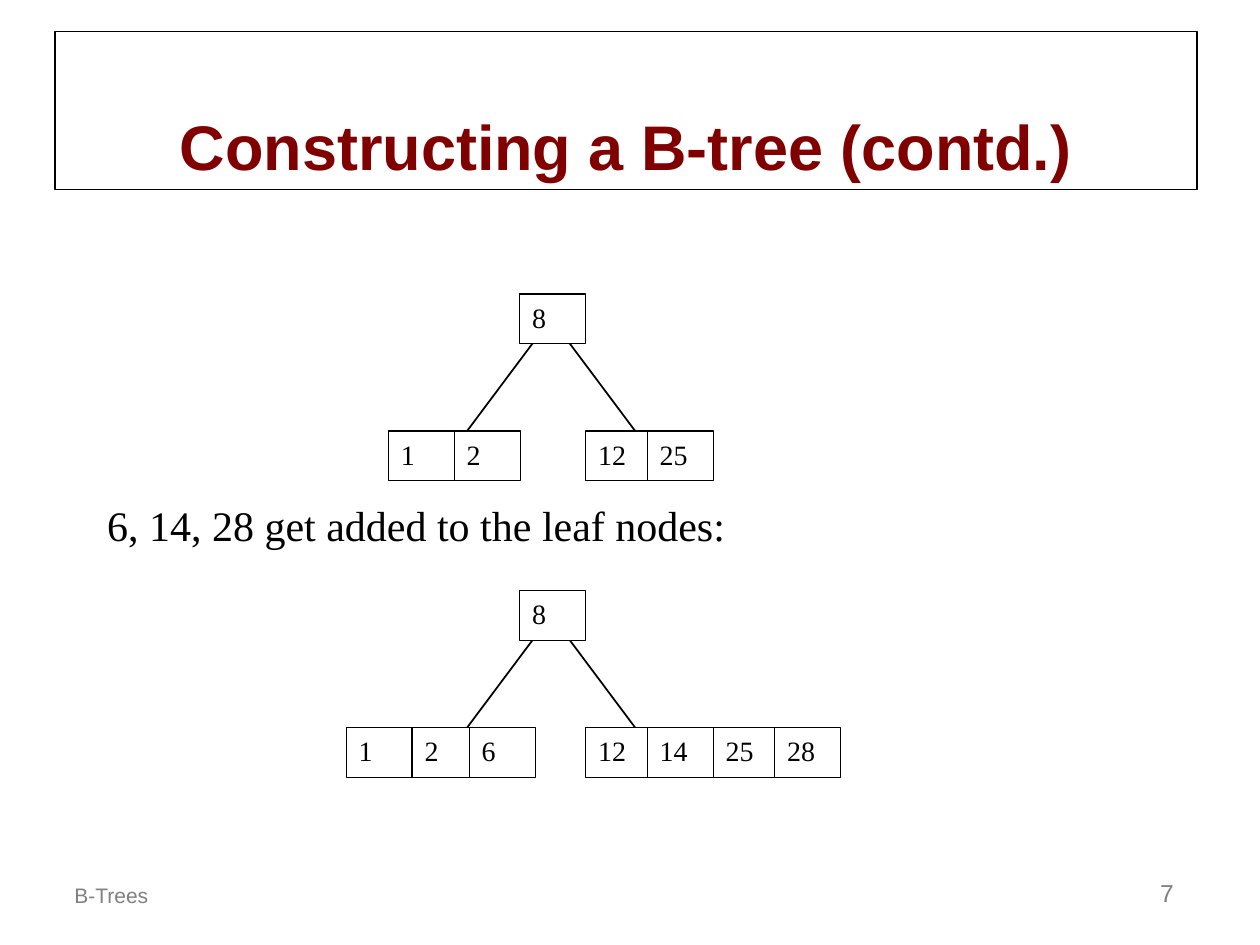
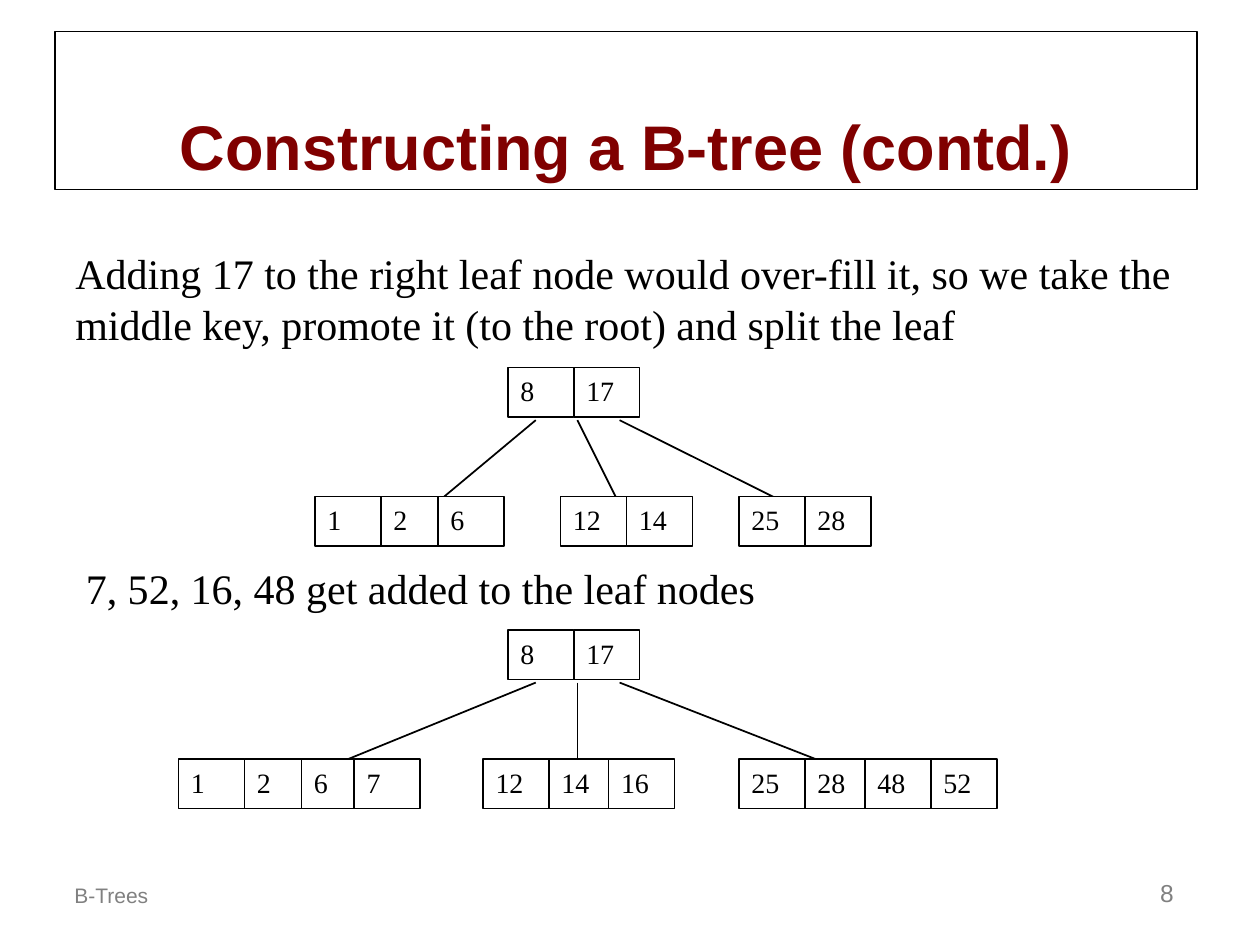
from lxml import etree
from pptx import Presentation
from pptx.dml.color import RGBColor
from pptx.enum.shapes import MSO_CONNECTOR, MSO_SHAPE
from pptx.enum.text import MSO_ANCHOR, MSO_AUTO_SIZE, PP_ALIGN
from pptx.oxml.ns import qn
from pptx.util import Cm, Pt

BLACK = RGBColor(0x00, 0x00, 0x00)
WHITE = RGBColor(0xFF, 0xFF, 0xFF)
MAROON = RGBColor(0x80, 0x00, 0x00)
GRAY = RGBColor(0x80, 0x80, 0x80)
SANS, SERIF = "Arial", "Times New Roman"
LEFT, CENTER, RIGHT = PP_ALIGN.LEFT, PP_ALIGN.CENTER, PP_ALIGN.RIGHT
TOP, BOTTOM = MSO_ANCHOR.TOP, MSO_ANCHOR.BOTTOM
GROW = MSO_AUTO_SIZE.SHAPE_TO_FIT_TEXT
RECT, STRAIGHT = MSO_SHAPE.RECTANGLE, MSO_CONNECTOR.STRAIGHT
CELL_W, CELL_H = 1.33, 1.0


def write(sp, text, *, size, font=SERIF, color=BLACK, bold=False, align=LEFT,
          anchor=TOP, before=0):
    """Put one formatted paragraph into a shape."""
    tf = sp.text_frame
    tf.word_wrap = True
    tf.vertical_anchor = anchor
    p = tf.paragraphs[0]
    p.alignment = align
    p.space_before = Pt(before)
    r = p.add_run()
    r.text = text
    r.font.name, r.font.size, r.font.bold = font, Pt(size), bold
    r.font.color.rgb = color


def add_text(s, x, y, w, h, text, **fmt):
    """Add a text box."""
    sp = s.shapes.add_textbox(Cm(x), Cm(y), Cm(w), Cm(h))
    write(sp, text, **fmt)
    return sp


def add_statement(s, x, y, w, h, text):
    """Add a sentence that explains the next tree."""
    sp = add_text(s, x, y, w, h, text, size=24, before=15)
    sp.text_frame.auto_size = GROW


def add_box(s, x, y, w, h, text, fill=None, **fmt):
    """Add an outlined rectangle with text."""
    sp = s.shapes.add_shape(RECT, Cm(x), Cm(y), Cm(w), Cm(h))
    sp.shadow.inherit = False
    if fill is None:
        sp.fill.background()
    else:
        sp.fill.solid()
        sp.fill.fore_color.rgb = fill
    sp.line.color.rgb = BLACK
    sp.line.width = Pt(0.75)
    write(sp, text, **fmt)


def add_edge(s, x1, y1, x2, y2):
    """Add a line from a root to a leaf."""
    line = s.shapes.add_connector(STRAIGHT, Cm(x1), Cm(y1), Cm(x2), Cm(y2))
    line.line.color.rgb = BLACK
    line.line.width = Pt(1)
    etree.SubElement(line._element.spPr, qn("a:effectLst"))


def add_node(s, x, y, keys, steps=()):
    """Add a row of key cells, spaced by steps or else by the cell width."""
    steps = steps or [CELL_W] * (len(keys) - 1)
    for key, step in zip(keys, [*steps, 0]):
        add_box(s, x, y, CELL_W, CELL_H, str(key), fill=WHITE, size=16)
        x += step


def add_tree(s, y, root, leaves, edges, start, leaf_drop):
    """Add a two-level tree whose root is at height y."""
    for x1, x2, drop in edges:
        add_edge(s, x1, y + start, x2, y + drop)
    add_node(s, root[0], y, *root[1:])
    for x, *node in leaves:
        add_node(s, x, y + leaf_drop, *node)


def add_slide(prs, number):
    """Add a blank slide with the title frame and the footer."""
    s = prs.slides.add_slide(prs.slide_layouts[6])
    add_text(s, 1.25, 17.15, 7.62, 1.27, "B-Trees", size=12, font=SANS,
             color=GRAY, anchor=BOTTOM, before=7.5)
    add_text(s, 18.63, 17.15, 5.28, 1.27, str(number), size=14, font=SANS,
             color=GRAY, align=RIGHT, anchor=BOTTOM, before=8.8)
    add_box(s, 1.11, 0.64, 23.02, 3.18, "Constructing a B-tree (contd.)",
            size=36, font=SANS, color=MAROON, bold=True, align=CENTER,
            anchor=BOTTOM)
    return s


def add_leaf_growth(prs):
    """Build the slide where three keys join the leaves."""
    s = add_slide(prs, 7)
    root = (10.48, [8])
    edges = [(11.0, 9.1, 3.18), (11.22, 13.12, 3.18)]
    add_tree(s, 5.93, root, [(7.83, [1, 2]), (11.81, [12, 25], [1.24])],
             edges, 0.64, 2.76)
    add_statement(s, 1.91, 9.95, 21.8, 1.28,
                  "6, 14, 28 get added to the leaf nodes:")
    leaves = [(6.98, [1, 2, 6], [1.33, 1.15]),
              (11.81, [12, 14, 25, 28], [1.24, 1.33, 1.24])]
    add_tree(s, 11.91, root, leaves, edges, 0.64, 2.76)


def add_leaf_split(prs):
    """Build the slide where the right leaf is split."""
    s = add_slide(prs, 8)
    root = (10.24, [8, 17])
    add_statement(s, 1.27, 4.87, 23.28, 2.29,
                  "Adding 17 to the right leaf node would over-fill it, so we "
                  "take the middle key, promote it (to the root) and split "
                  "the leaf")
    leaves = [(6.35, [1, 2, 6], [1.33, 1.15]), (11.3, [12, 14]),
              (14.9, [25, 28])]
    edges = [(10.8, 8.26, 3.18), (11.64, 12.7, 3.18), (12.49, 16.3, 2.96)]
    add_tree(s, 7.41, root, leaves, edges, 1.06, 2.6)
    add_statement(s, 1.48, 11.22, 22.86, 1.28,
                  "7, 52, 16, 48 get added to the leaf nodes")
    leaves = [(3.6, [1, 2, 6, 7], [1.33, 1.15, 1.06]),
              (9.74, [12, 14, 16], [1.33, 1.2]),
              (14.9, [25, 28, 48, 52], [1.33, 1.21, 1.33])]
    edges = [(10.8, 6.14, 2.96), (11.64, 11.64, 3.18), (12.49, 17.36, 2.96)]
    add_tree(s, 12.7, root, leaves, edges, 1.06, 2.6)


def main():
    """Build and save the two slides."""
    prs = Presentation()
    prs.slide_width, prs.slide_height = Cm(25.4), Cm(19.05)
    add_leaf_growth(prs)
    add_leaf_split(prs)
    prs.save("out.pptx")


if __name__ == "__main__":
    main()
